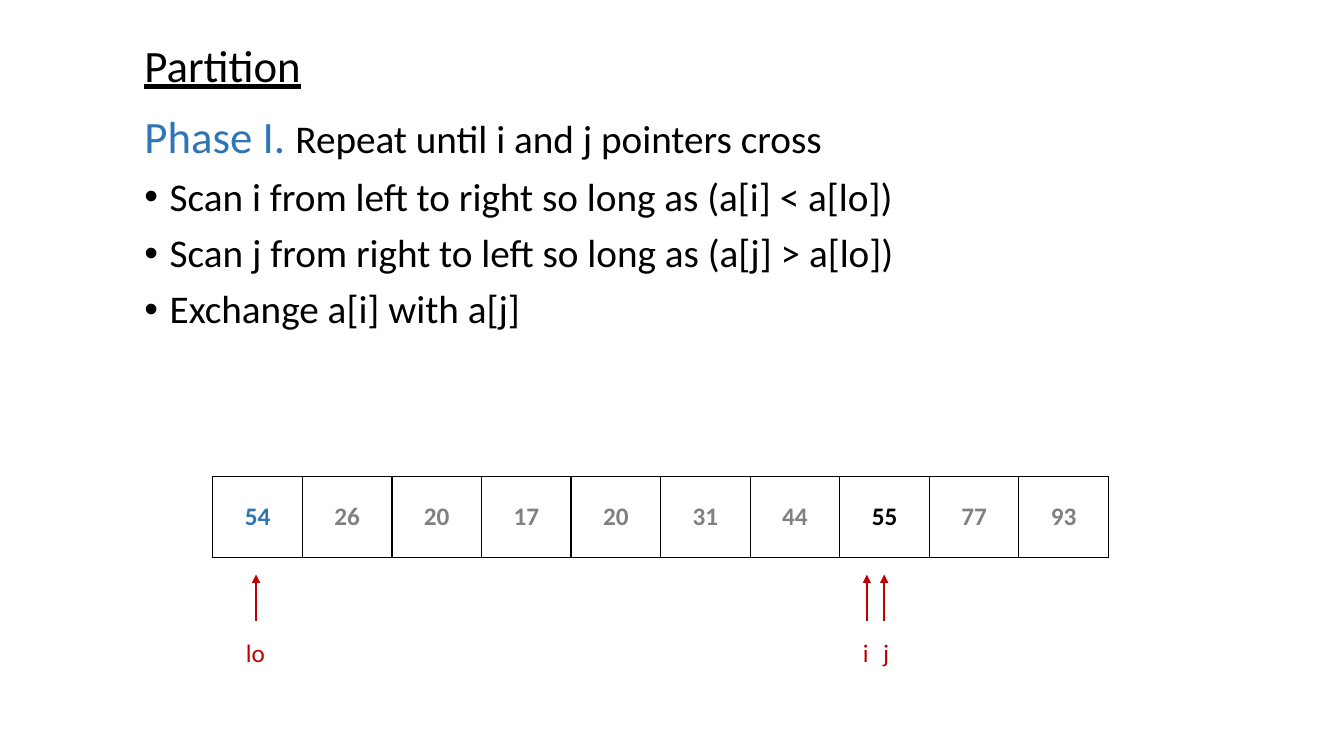
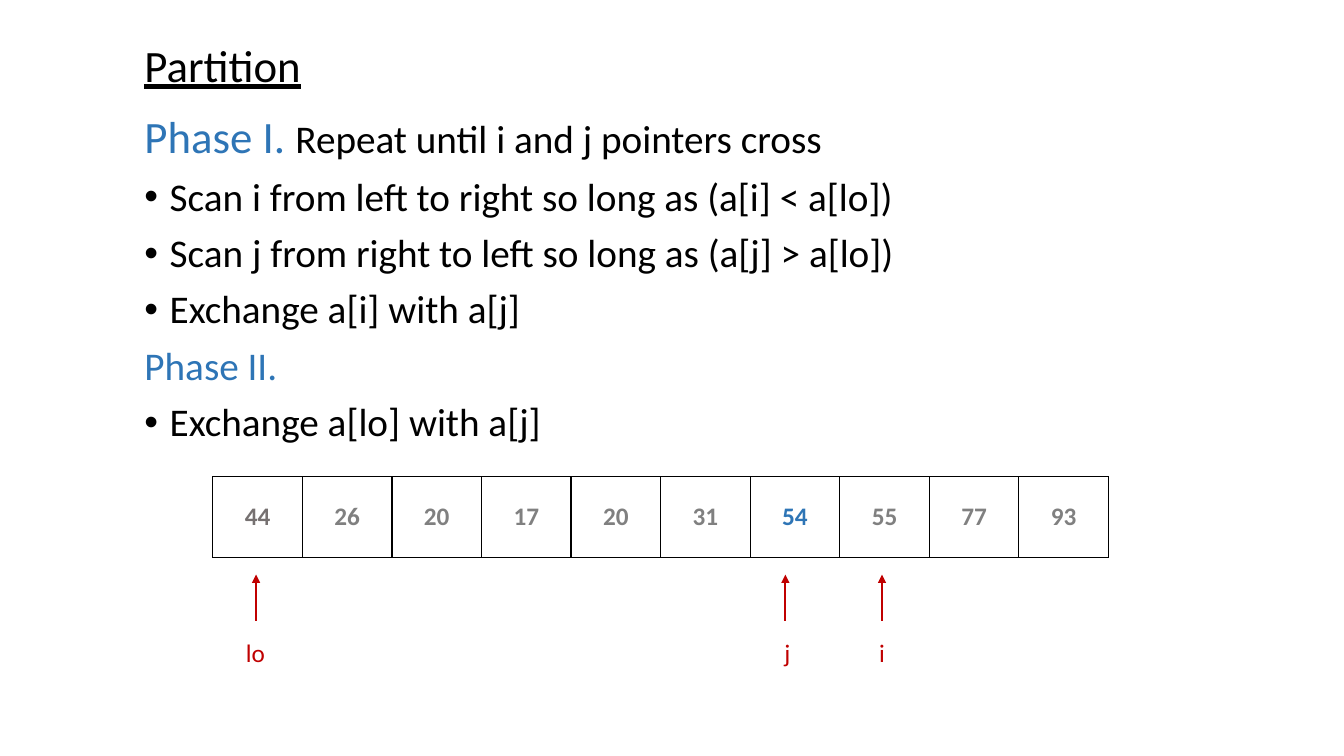
from lxml import etree
from pptx import Presentation
from pptx.dml.color import RGBColor
from pptx.enum import shapes, text
from pptx.oxml import ns
from pptx.util import Pt

BLACK = RGBColor(0x00, 0x00, 0x00)
WHITE = RGBColor(0xFF, 0xFF, 0xFF)
BLUE = RGBColor(0x2E, 0x75, 0xB6)
GREY = RGBColor(0x80, 0x80, 0x80)
DARK_GREY = RGBColor(0x76, 0x71, 0x71)
RED = RGBColor(0xC0, 0x00, 0x00)

LEFT = 96
ARRAY_LEFT, ARRAY_TOP, CELL_WIDTH, CELL_HEIGHT = 152, 340.5, 64, 57.6
ARROW_TIP, ARROW_FOOT = 410.4, 443.5
LABEL_TOP, LABEL_WIDTH, LABEL_HEIGHT = 451.4, 28, 29

# Phase heading, its size, the words beside it, and the steps below
PHASE_ONE = ("Phase I. ", 32, "Repeat until i and j pointers cross", [
    "Scan i from left to right so long as (a[i] < a[lo])",
    "Scan j from right to left so long as (a[j] > a[lo])",
    "Exchange a[i] with a[j]",
])
PHASE_TWO = ("Phase II.", 28, "", ["Exchange a[lo] with a[j]"])

# Phases, array values, highlighted cells, pointers (arrow x, label centre x)
STATES = [
    ([PHASE_ONE], [54, 26, 20, 17, 20, 31, 44, 55, 77, 93],
     {0: BLUE, 7: BLACK},
     {"lo": (182.9, 182.5), "i": (619.2, 618.5), "j": (631.6, 633)}),
    ([PHASE_ONE, PHASE_TWO], [44, 26, 20, 17, 20, 31, 54, 55, 77, 93],
     {0: DARK_GREY, 6: BLUE},
     {"lo": (182.9, 182.5), "i": (630, 630), "j": (561, 562.5)}),
]


def style(font, size, color):
    """Give a font the deck's typeface with a size and colour."""
    font.name, font.size = "Calibri", Pt(size)
    font.color.rgb = color


def add_line(frame, first, bulleted):
    """Return a spaced body paragraph, with or without a bullet."""
    line = frame.paragraphs[0] if first else frame.add_paragraph()
    line.line_spacing, line.space_before = 0.9, Pt(10)
    props = line._p.get_or_add_pPr()
    props.set("marL", str(Pt(18) if bulleted else 0))
    props.set("indent", str(Pt(-18) if bulleted else 0))
    if bulleted:
        etree.SubElement(props, ns.qn("a:buFont")).set("typeface", "Arial")
        etree.SubElement(props, ns.qn("a:buChar")).set("char", "•")
    else:
        etree.SubElement(props, ns.qn("a:buNone"))
    style(line.font, 28, BLACK)
    return line


deck = Presentation()
deck.slide_width, deck.slide_height = Pt(960), Pt(540)

for phases, values, highlights, pointers in STATES:
    slide = deck.slides.add_slide(deck.slide_layouts[1])

    title = slide.shapes.title
    title.left, title.top, title.width, title.height = Pt(LEFT), Pt(23), Pt(128), Pt(46)
    title.text_frame.text = "Partition"
    title.text_frame.word_wrap = False
    title.text_frame.auto_size = text.MSO_AUTO_SIZE.NONE
    title.text_frame.vertical_anchor = text.MSO_ANCHOR.TOP
    heading = title.text_frame.paragraphs[0]
    heading.alignment = text.PP_ALIGN.LEFT
    style(heading.font, 32, BLACK)
    heading.font.underline = True

    steps_box = slide.placeholders[1]
    steps_box.left, steps_box.top = Pt(LEFT), Pt(78.5)
    steps_box.width, steps_box.height = Pt(828), Pt(342.7)
    steps_frame = steps_box.text_frame
    steps_frame.auto_size = text.MSO_AUTO_SIZE.NONE
    for number, (phase, size, condition, steps) in enumerate(phases):
        line = add_line(steps_frame, number == 0, False)
        phase_run = line.add_run()
        phase_run.text = phase
        style(phase_run.font, size, BLUE)
        if condition:
            line.add_run().text = condition
        for step in steps:
            add_line(steps_frame, False, True).add_run().text = step

    array_frame = slide.shapes.add_table(
        1, len(values), Pt(ARRAY_LEFT), Pt(ARRAY_TOP),
        Pt(CELL_WIDTH * len(values)), Pt(CELL_HEIGHT))
    for index, value in enumerate(values):
        cell = array_frame.table.cell(0, index)
        cell.text = str(value)
        cell.vertical_anchor = text.MSO_ANCHOR.MIDDLE
        number_line = cell.text_frame.paragraphs[0]
        number_line.alignment = text.PP_ALIGN.CENTER
        style(number_line.font, 18, highlights.get(index, GREY))
        number_line.font.bold = True
        cell_props = cell._tc.get_or_add_tcPr()
        for side in ("lnL", "lnR", "lnT", "lnB"):
            border = etree.SubElement(cell_props, ns.qn(f"a:{side}"), w=str(Pt(1)))
            border_fill = etree.SubElement(border, ns.qn("a:solidFill"))
            etree.SubElement(border_fill, ns.qn("a:srgbClr"), val=str(BLACK))
        cell.fill.solid()
        cell.fill.fore_color.rgb = WHITE

    for pointer, (arrow_x, label_x) in pointers.items():
        arrow = slide.shapes.add_connector(
            shapes.MSO_CONNECTOR.STRAIGHT,
            Pt(arrow_x), Pt(ARROW_FOOT), Pt(arrow_x), Pt(ARROW_TIP))
        arrow.line.color.rgb = RED
        arrow.line.width = Pt(1.5)
        etree.SubElement(arrow.line._get_or_add_ln(), ns.qn("a:tailEnd"), type="triangle")
        etree.SubElement(arrow._element.spPr, ns.qn("a:effectLst"))

        label = slide.shapes.add_textbox(
            Pt(label_x - LABEL_WIDTH / 2), Pt(LABEL_TOP), Pt(LABEL_WIDTH), Pt(LABEL_HEIGHT))
        label.text_frame.text = pointer
        label.text_frame.word_wrap = False
        label_line = label.text_frame.paragraphs[0]
        label_line.alignment = text.PP_ALIGN.CENTER
        style(label_line.font, 18, RED)

deck.save("out.pptx")
